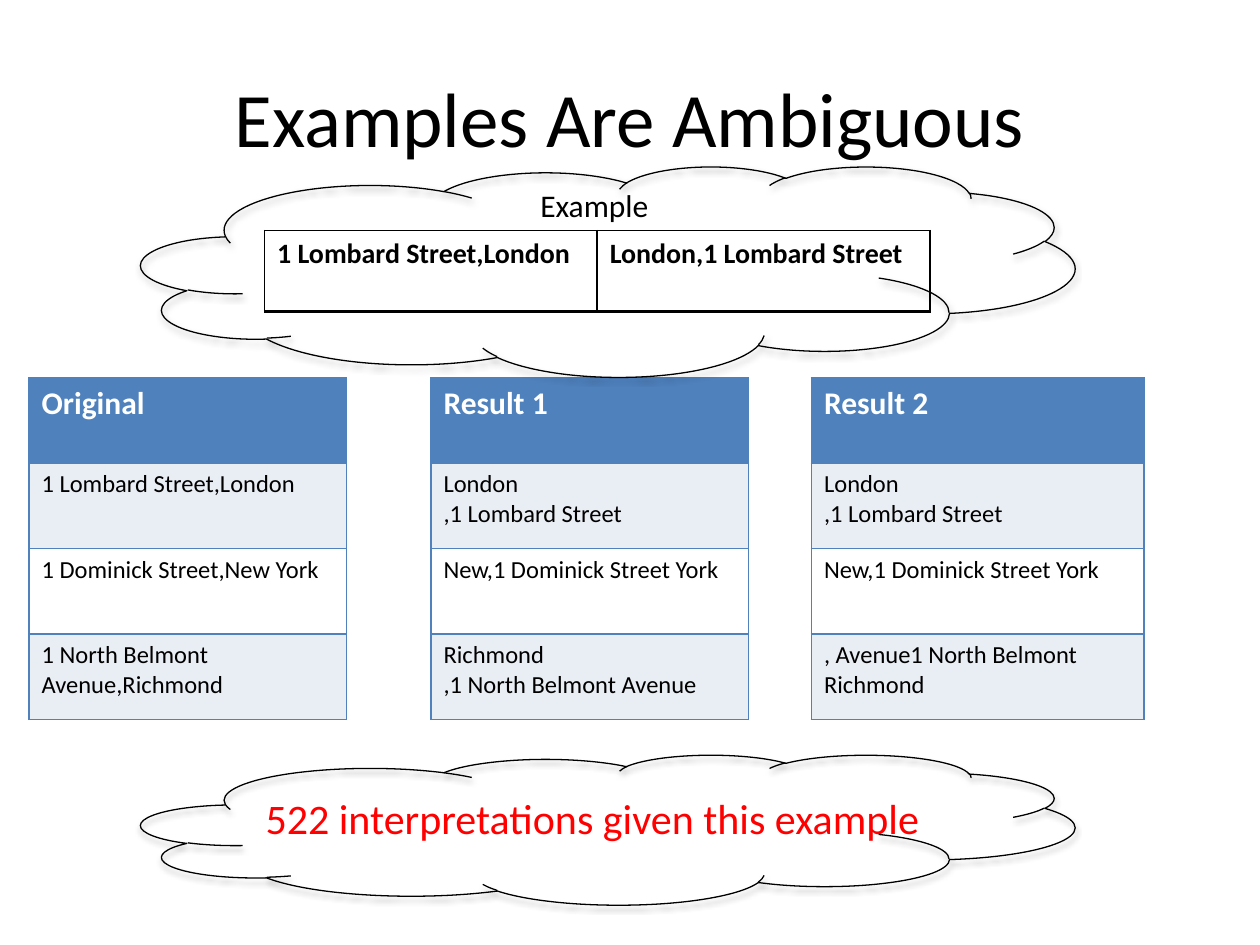
"""Build the slide about ambiguous examples."""
from dataclasses import dataclass

from lxml.etree import SubElement
from pptx import Presentation
from pptx.dml.color import RGBColor
from pptx.enum.shapes import MSO_SHAPE
from pptx.enum.text import MSO_ANCHOR, MSO_AUTO_SIZE, PP_ALIGN
from pptx.oxml.ns import qn
from pptx.util import Inches, Pt

BLACK = RGBColor(0x00, 0x00, 0x00)
WHITE = RGBColor(0xFF, 0xFF, 0xFF)
RED = RGBColor(0xFF, 0x00, 0x00)
BLUE = RGBColor(0x4F, 0x81, 0xBD)
PALE = RGBColor(0xE9, 0xED, 0xF4)
FONT = "Calibri"


@dataclass
class ResultTable:
    left: float
    width: float
    header: str
    rows: tuple[str, ...]


@dataclass
class Cloud:
    top: float
    height: float


@dataclass
class Label:
    text: str
    left: float
    top: float
    width: float
    height: float
    size: int
    color: RGBColor


RESULT_TABLES = (
    ResultTable(0.23, 2.52, "Original", (
        "1 Lombard Street,London", "1 Dominick Street,New York",
        "1 North Belmont Avenue,Richmond")),
    ResultTable(3.42, 2.52, "Result 1", (
        "London\n,1 Lombard Street", "New,1 Dominick Street York",
        "Richmond\n,1 North Belmont Avenue")),
    ResultTable(6.44, 2.64, "Result 2", (
        "London\n,1 Lombard Street", "New,1 Dominick Street York",
        ", Avenue1 North Belmont Richmond")),
)
INTERPRETATIONS = Label("522 interpretations given this example",
                        2.01, 6.24, 5.47, 0.5, 24, RED)
EXAMPLE = Label("Example", 4.19, 1.43, 1.07, 0.4, 18, BLACK)


def write_text(text_frame, text: str, *, size: int, color: RGBColor = BLACK,
               bold: bool = False, align: PP_ALIGN = PP_ALIGN.LEFT) -> None:
    """Fill a text frame with one paragraph per line of text."""
    text_frame.text = text
    for paragraph in text_frame.paragraphs:
        paragraph.alignment = align
        for run in paragraph.runs:
            run.font.name = FONT
            run.font.size = Pt(size)
            run.font.bold = bold
            run.font.color.rgb = color


def set_borders(cell, color: RGBColor, **widths: float) -> None:
    """Draw cell borders with widths in points, keyed by side."""
    properties = cell._tc.get_or_add_tcPr()
    for index, (side, width) in enumerate(widths.items()):
        line = SubElement(properties, qn(f"a:ln{side}"), w=str(Pt(width)))
        fill = SubElement(line, qn("a:solidFill"))
        SubElement(fill, qn("a:srgbClr"), val=str(color))
        properties.insert(index, line)


def add_plain_table(slide, rows: int, columns: int, left: float, top: float,
                    width: float, height: float):
    """Add a table without style banding."""
    frame = slide.shapes.add_table(rows, columns, Inches(left), Inches(top),
                                   Inches(width), Inches(height))
    frame.table.first_row = False
    frame.table.horz_banding = False
    return frame.table


def add_result_table(slide, result: ResultTable) -> None:
    """Add a one-column table with a blue header."""
    table = add_plain_table(slide, 4, 1, result.left, 3, result.width, 2.71)
    for index, text in enumerate((result.header, *result.rows)):
        cell = table.cell(index, 0)
        header = index == 0
        cell.fill.solid()
        cell.fill.fore_color.rgb = BLUE if header else PALE if index % 2 else WHITE
        write_text(cell.text_frame, text, size=18 if header else 14,
                   color=WHITE if header else BLACK, bold=header)
        set_borders(cell, BLUE, L=1, R=1, T=1, B=1)


def add_example_table(slide) -> None:
    """Add the input and output pair in a black frame."""
    table = add_plain_table(slide, 1, 2, 2.1, 1.83, 5.28, 0.64)
    for cell, text in zip(table.iter_cells(), (
            "1 Lombard Street,London", "London,1 Lombard Street")):
        cell.fill.background()
        write_text(cell.text_frame, text, size=16, bold=True)
        set_borders(cell, BLACK, L=1, R=1, T=1, B=2)


def add_cloud(slide, cloud: Cloud) -> None:
    """Add an unfilled cloud that keeps the theme shadow."""
    shape = slide.shapes.add_shape(MSO_SHAPE.CLOUD, Inches(1.12), Inches(cloud.top),
                                   Inches(7.41), Inches(cloud.height))
    shape.fill.background()
    shape.line.color.rgb = BLACK
    shape.line.width = Pt(0.75)


def add_label(slide, label: Label) -> None:
    """Add a text box that fits its single line."""
    shape = slide.shapes.add_textbox(Inches(label.left), Inches(label.top),
                                     Inches(label.width), Inches(label.height))
    shape.text_frame.word_wrap = False
    shape.text_frame.auto_size = MSO_AUTO_SIZE.SHAPE_TO_FIT_TEXT
    write_text(shape.text_frame, label.text, size=label.size, color=label.color)


def main() -> None:
    """Build and save the presentation."""
    presentation = Presentation()
    presentation.slide_width = Inches(10)
    presentation.slide_height = Inches(7.5)
    slide = presentation.slides.add_slide(presentation.slide_layouts[5])

    title = slide.shapes.title
    title.left, title.top = Inches(0.5), Inches(0.3)
    title.width, title.height = Inches(9), Inches(1.25)
    title.text_frame.vertical_anchor = MSO_ANCHOR.MIDDLE
    write_text(title.text_frame, "Examples Are Ambiguous", size=44,
               align=PP_ALIGN.CENTER)

    add_label(slide, INTERPRETATIONS)
    for result in RESULT_TABLES:
        add_result_table(slide, result)
    add_cloud(slide, Cloud(5.99, 1.19))
    add_label(slide, EXAMPLE)
    add_cloud(slide, Cloud(1.32, 1.67))
    add_example_table(slide)
    presentation.save("out.pptx")


main()
